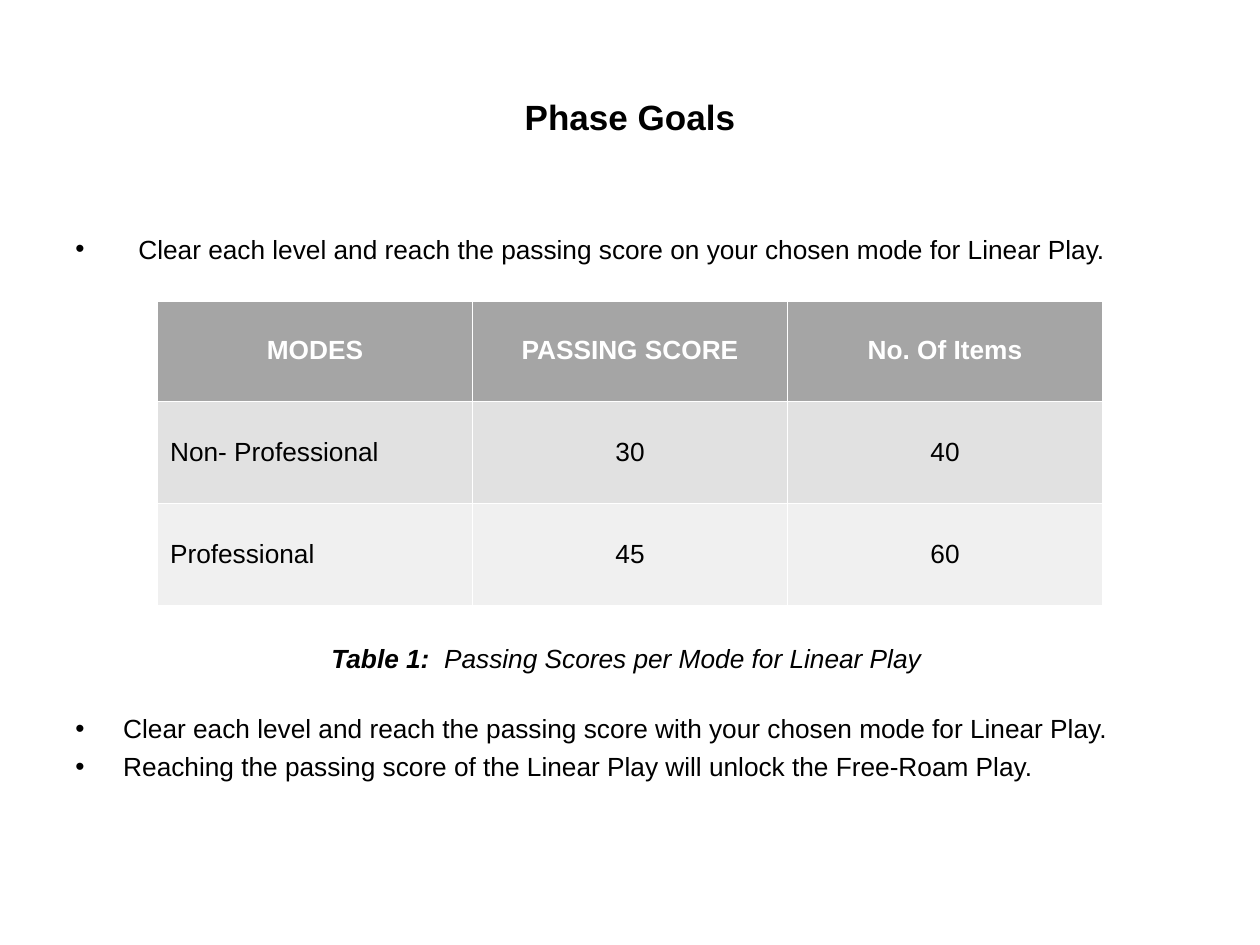
from lxml import etree
from pptx import Presentation
from pptx.dml.color import RGBColor
from pptx.enum.text import MSO_ANCHOR, PP_ALIGN
from pptx.oxml.ns import qn
from pptx.util import Inches, Pt

CENTER, LEFT = PP_ALIGN.CENTER, PP_ALIGN.LEFT
MIDDLE = MSO_ANCHOR.MIDDLE
TITLE_ONLY = 5
SLIDE_W, SLIDE_H = Inches(10), Inches(7.5)
MARGIN, CONTENT_W = 0.05, 0.9
BLACK, WHITE = "000000", "FFFFFF"
ROW_FILLS = ["A5A5A5", "E1E1E1", "F0F0F0"]
SCORES = [
    ["MODES", "PASSING SCORE", "No. Of Items"],
    ["Non- Professional", "30", "40"],
    ["Professional", "45", "60"],
]
GOALS = [
    ("Clear each level and reach the passing score on your chosen mode for Linear Play.", 0.5, 0),
    ("Clear each level and reach the passing score with your chosen mode for Linear Play.", 0.38, 256),
    ("Reaching the passing score of the Linear Play will unlock the Free-Roam Play.", 0.38, 3.75),
]


def color(hex_value):
    """Return the colour for a hex string."""
    return RGBColor.from_string(hex_value)


def share(left, top, width, height):
    """Turn shares of the slide's size into a box."""
    return (round(left * SLIDE_W), round(top * SLIDE_H),
            round(width * SLIDE_W), round(height * SLIDE_H))


def style(paragraph, size=15, hex_value=BLACK, bold=False, align=LEFT):
    """Set the font and alignment of a paragraph."""
    font = paragraph.font
    font.name, font.size, font.bold = "Arial", Pt(size), bold
    font.color.rgb = color(hex_value)
    paragraph.alignment = align


def add_bullet(paragraph, indent):
    """Give a paragraph a round bullet with a hanging indent."""
    properties = paragraph._p.get_or_add_pPr()
    properties.set("marL", str(Inches(indent)))
    properties.set("indent", str(-Inches(indent)))
    bullet_font = etree.Element(qn("a:buFont"), typeface="Arial")
    bullet = etree.Element(qn("a:buChar"), char="•")
    properties.insert_element_before(bullet_font, "a:tabLst", "a:defRPr", "a:extLst")
    properties.insert_element_before(bullet, "a:tabLst", "a:defRPr", "a:extLst")


def add_border(cell, side, width):
    """Draw a white line along one side of a cell."""
    line = etree.Element(qn(f"a:{side}"), w=str(Pt(width)))
    fill = etree.SubElement(line, qn("a:solidFill"))
    etree.SubElement(fill, qn("a:srgbClr"), val=WHITE)
    cell._tc.get_or_add_tcPr().append(line)


def place_title(slide, box):
    """Fill and format the title placeholder."""
    title = slide.shapes.title
    title.left, title.top, title.width, title.height = box
    title.text_frame.text = "Phase Goals"
    title.text_frame.vertical_anchor = MIDDLE
    style(title.text_frame.paragraphs[0], size=20, bold=True, align=CENTER)


def place_goals(slide, box):
    """Place the goals, leaving room for the score table after the first."""
    frame = slide.shapes.add_textbox(*box).text_frame
    frame.word_wrap = True
    for index, (goal, indent, gap) in enumerate(GOALS):
        paragraph = frame.add_paragraph() if index else frame.paragraphs[0]
        paragraph.text = goal
        style(paragraph)
        paragraph.space_before = Pt(gap)
        add_bullet(paragraph, indent)


def place_scores(slide, box):
    """Place the table of passing scores."""
    table = slide.shapes.add_table(len(SCORES), len(SCORES[0]), *box).table
    for row, (values, fill) in enumerate(zip(SCORES, ROW_FILLS)):
        header = row == 0
        for column, value in enumerate(values):
            cell = table.cell(row, column)
            cell.text = value
            cell.vertical_anchor = MIDDLE
            style(cell.text_frame.paragraphs[0], bold=header,
                  hex_value=WHITE if header else BLACK,
                  align=CENTER if header or column else LEFT)
            for side in ("lnL", "lnR", "lnT", "lnB"):
                add_border(cell, side, 3 if header and side == "lnT" else 1)
            cell.fill.solid()
            cell.fill.fore_color.rgb = color(fill)


def place_caption(slide, box):
    """Place the caption under the table."""
    frame = slide.shapes.add_textbox(*box).text_frame
    frame.word_wrap = True
    caption = frame.paragraphs[0]
    style(caption, align=CENTER)
    caption.font.italic = True
    label = caption.add_run()
    label.text = "Table 1: "
    label.font.bold = True
    caption.add_run().text = " Passing Scores per Mode for Linear Play "


def main():
    """Build and save the slide."""
    deck = Presentation()
    deck.slide_width, deck.slide_height = SLIDE_W, SLIDE_H
    slide = deck.slides.add_slide(deck.slide_layouts[TITLE_ONLY])
    place_title(slide, share(MARGIN, 0.04, CONTENT_W, 1 / 6))
    place_goals(slide, share(MARGIN, 0.24, CONTENT_W, 0.72))
    place_scores(slide, share(0.125, 0.317, 0.75, 0.324))
    place_caption(slide, share(MARGIN, 0.673, CONTENT_W, 0.047))
    deck.save("out.pptx")


if __name__ == "__main__":
    main()
